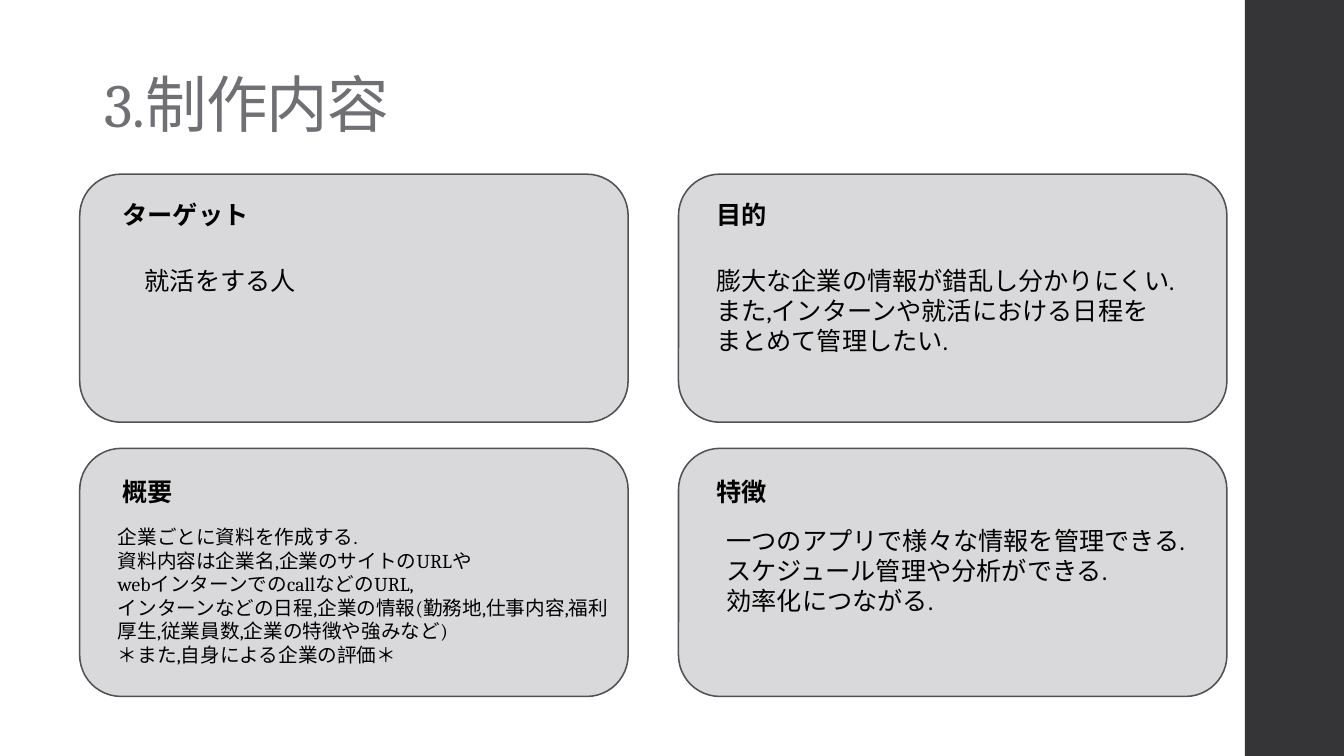
from pptx import Presentation
from pptx import util as u
from pptx.dml import color
from pptx.enum import shapes, text

FONT = "Cambria"
TITLE = "3.制作内容"
CARDS = [
    {"heading": "ターゲット", "size": 18, "body_box": (3.4, 6.55, 12.12, 1.8),
     "body": ["就活をする人"]},
    {"heading": "目的", "size": 18, "body_box": (17.8, 6.55, 13.23, 3.33),
     "body": ["膨大な企業の情報が錯乱し分かりにくい.",
              "また,インターンや就活における日程を",
              "まとめて管理したい."]},
    {"heading": "概要", "size": 14, "body_box": (2.72, 13.11, 13.13, 5.38),
     "body": ["企業ごとに資料を作成する.",
              "資料内容は企業名,企業のサイトのURLや",
              "webインターンでのcallなどのURL,",
              "インターンなどの日程,企業の情報(勤務地,仕事内容,"
              "福利厚生,従業員数,企業の特徴や強みなど)",
              "＊また,自身による企業の評価＊"]},
    {"heading": "特徴", "size": 18, "body_box": (18.06, 13.11, 12.45, 3.33),
     "body": ["一つのアプリで様々な情報を管理できる.",
              "スケジュール管理や分析ができる.",
              "効率化につながる."]},
]
CARD_LEFT, CARD_TOP = 2.01, 4.39
CARD_WIDTH, CARD_HEIGHT = 13.82, 6.25
COLUMN_STEP, ROW_STEP = 15.09, 6.91
HEADING_LEFTS, HEADING_TOPS = (2.84, 17.8), (4.9, 11.89)


def rgb(value):
    return color.RGBColor.from_string(value)


def add_box(slide, kind, box, fill, line=None):
    shape = slide.shapes.add_shape(kind, *map(u.Cm, box))
    shape.shadow.inherit = False
    shape.fill.solid()
    shape.fill.fore_color.rgb = rgb(fill)
    if line:
        shape.line.color.rgb = rgb(line)
        shape.line.width = u.Pt(1.1)
    else:
        shape.line.fill.background()


def add_text(slide, box, lines, size, bold=False, ink="000000"):
    shape = slide.shapes.add_textbox(*map(u.Cm, box))
    frame = shape.text_frame
    frame.word_wrap = True
    for index, line in enumerate(lines):
        paragraph = frame.add_paragraph() if index else frame.paragraphs[0]
        run = paragraph.add_run()
        run.text = line
        run.font.name = FONT
        run.font.size = u.Pt(size)
        run.font.bold = bold
        run.font.color.rgb = rgb(ink)
    return frame


def main():
    presentation = Presentation()
    presentation.slide_width = u.Cm(33.87)
    presentation.slide_height = u.Cm(19.05)
    slide = presentation.slides.add_slide(presentation.slide_layouts[6])

    add_box(slide, shapes.MSO_SHAPE.RECTANGLE, (31.37, 0, 2.5, 19.05), "353537")
    title = add_text(slide, (2.39, 0, 26.92, 3.68), [TITLE], 44, ink="6F6F74")
    title.vertical_anchor = text.MSO_ANCHOR.BOTTOM
    title.paragraphs[0].line_spacing = 0.9
    title.paragraphs[0].runs[0].font._element.set("spc", "-50")

    for index, card in enumerate(CARDS):
        row, column = divmod(index, 2)
        card_box = (CARD_LEFT + column * COLUMN_STEP, CARD_TOP + row * ROW_STEP,
                    CARD_WIDTH, CARD_HEIGHT)
        add_box(slide, shapes.MSO_SHAPE.ROUNDED_RECTANGLE, card_box, "D9D9DB", "525256")
        heading_box = (HEADING_LEFTS[column], HEADING_TOPS[row], 7.62, 1.02)
        add_text(slide, heading_box, [card["heading"]], 18, bold=True)
        add_text(slide, card["body_box"], card["body"], card["size"])

    presentation.save("out.pptx")


if __name__ == "__main__":
    main()
